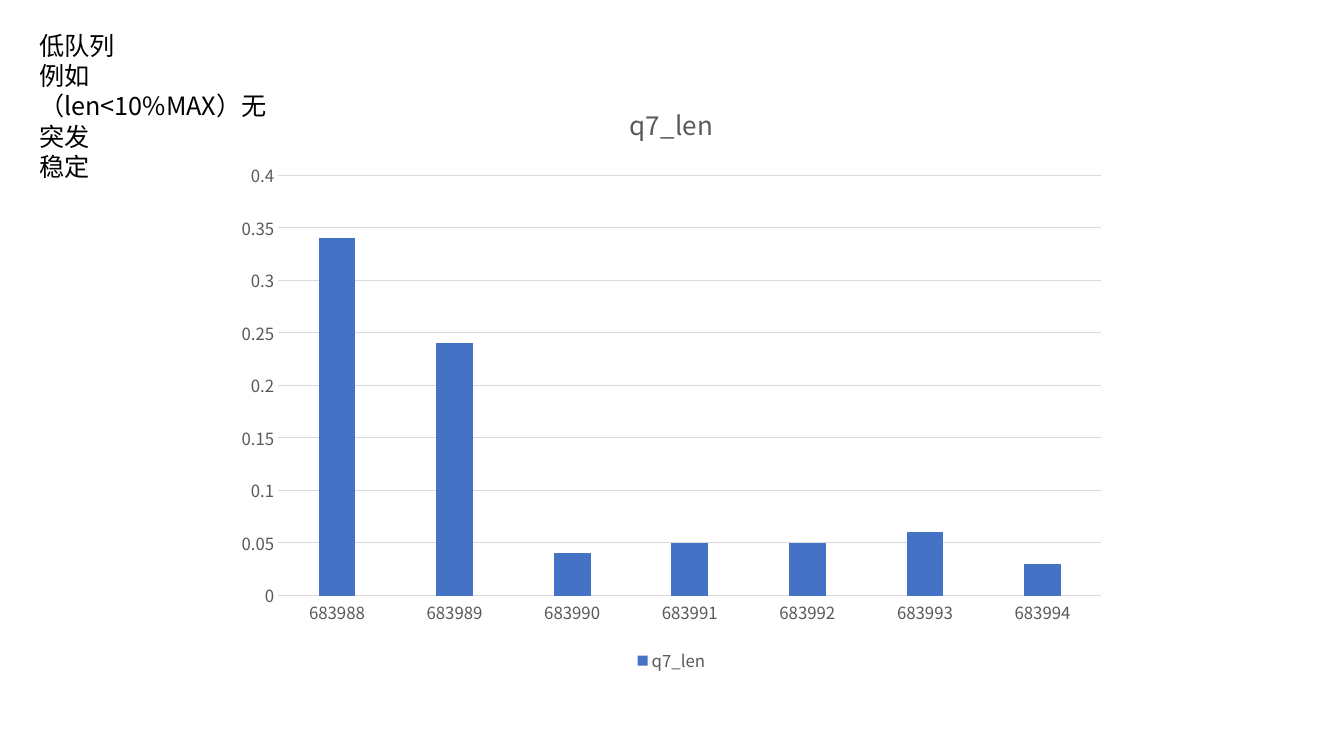
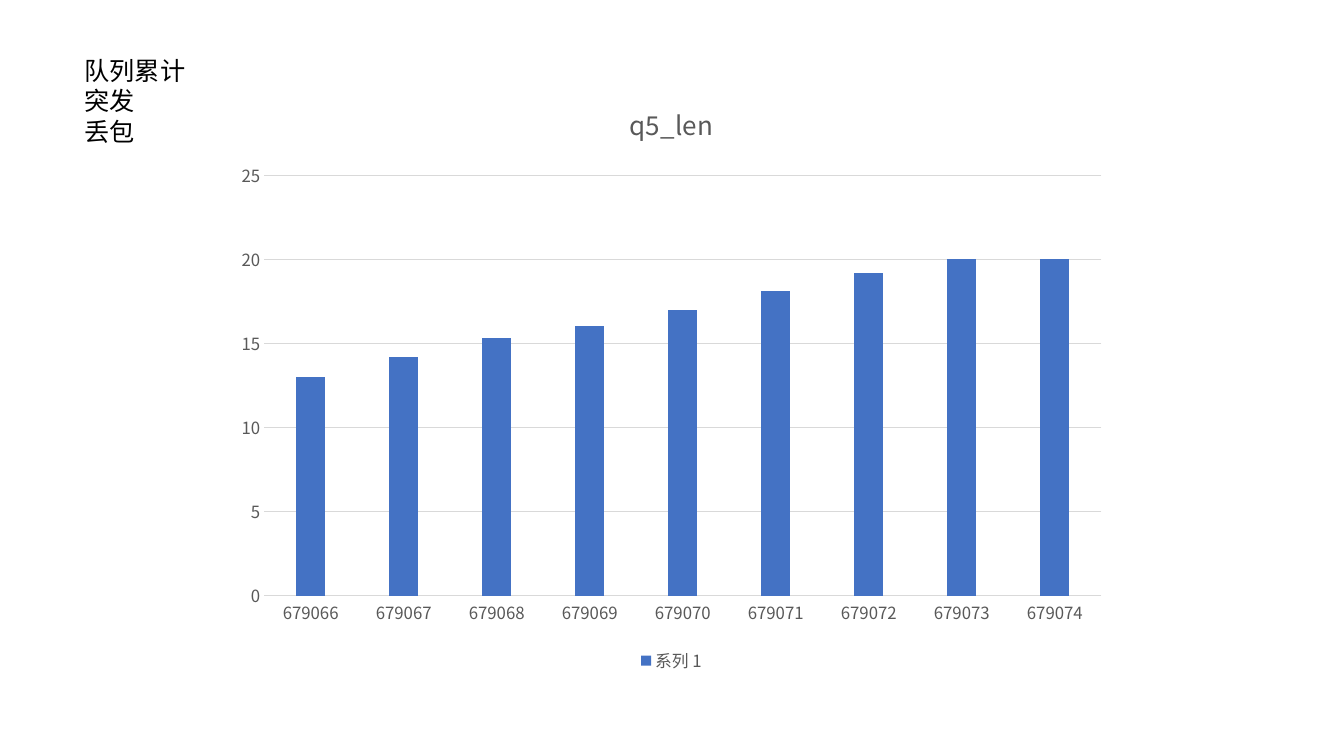
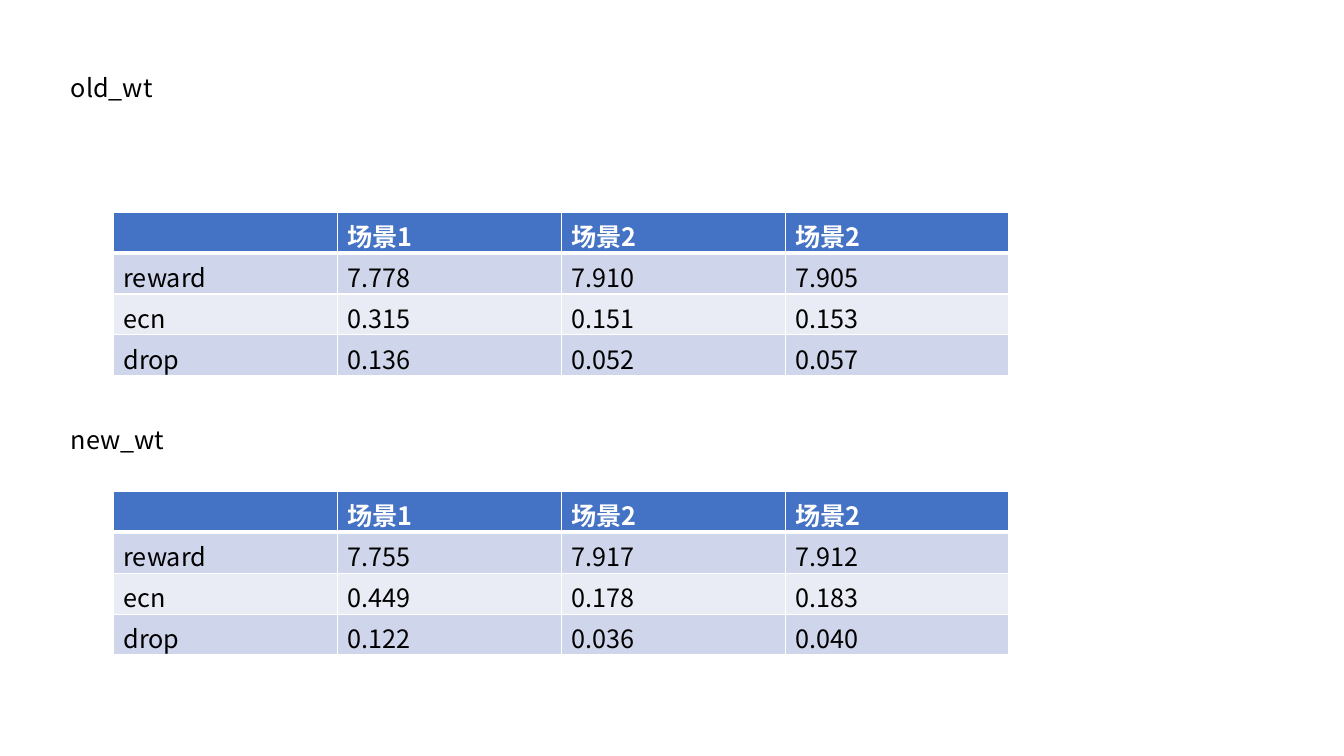
"""Builds three slides on queue lengths and weight results."""
from lxml import etree
from pptx import Presentation
from pptx.chart.data import CategoryChartData
from pptx.dml.color import RGBColor
from pptx.enum.chart import XL_CHART_TYPE, XL_LEGEND_POSITION, XL_TICK_MARK
from pptx.enum.text import MSO_AUTO_SIZE
from pptx.oxml.ns import qn
from pptx.util import Pt

PX = 9525
FONT = "Noto Sans CJK SC"
BLUE, WHITE, BLACK = "4472C4", "FFFFFF", "000000"
GRAY, GRID = "595959", "D9D9D9"
BANDS = ["E9EBF5", "CFD5EA"]
COLUMN = XL_CHART_TYPE.COLUMN_CLUSTERED
BOTTOM = XL_LEGEND_POSITION.BOTTOM
NO_TICK = XL_TICK_MARK.NONE
GROW = MSO_AUTO_SIZE.SHAPE_TO_FIT_TEXT


def color(hex_string):
    return RGBColor.from_string(hex_string)


def style(font, size, hex_string, bold=False):
    font.name = FONT
    font.size = Pt(size)
    font.bold = bold
    font.color.rgb = color(hex_string)
    etree.SubElement(font._rPr, qn("a:ea"), typeface=FONT)


presentation = Presentation()
presentation.slide_width = 1280 * PX
presentation.slide_height = 720 * PX
blank_layout = presentation.slide_layouts[6]
slides = [presentation.slides.add_slide(blank_layout) for _ in range(3)]

charts = [
    ("q7_len", "q7_len", 683988, [0.34, 0.24, 0.04, 0.05, 0.05, 0.06, 0.03]),
    ("q5_len", "系列 1", 679066, [13, 14.2, 15.3, 16, 17, 18.1, 19.2, 20, 20]),
]
for slide, (title, series_name, first_category, values) in zip(slides, charts):
    chart_data = CategoryChartData()
    chart_data.categories = [str(first_category + i) for i in range(len(values))]
    chart_data.add_series(series_name, values)
    chart = slide.shapes.add_chart(
        COLUMN, 213 * PX, 76 * PX, 853 * PX, 569 * PX, chart_data
    ).chart
    style(chart.font, 10, BLACK)

    chart.has_title = True
    title_paragraph = chart.chart_title.text_frame.paragraphs[0]
    title_paragraph.text = title
    style(title_paragraph.runs[0].font, 18.6, GRAY)
    chart.chart_title.include_in_layout = False

    chart.has_legend = True
    chart.legend.position = BOTTOM
    chart.legend.include_in_layout = False
    style(chart.legend.font, 12, GRAY)

    for axis in (chart.category_axis, chart.value_axis):
        axis.major_tick_mark = NO_TICK
        axis.minor_tick_mark = NO_TICK
        style(axis.tick_labels.font, 12, GRAY)
    chart.value_axis.format.line.fill.background()
    chart.value_axis.has_major_gridlines = True
    gridlines = chart.value_axis.major_gridlines
    for line in (chart.category_axis.format.line, gridlines.format.line):
        line.color.rgb = color(GRID)
        line.width = Pt(0.75)

    plot = chart.plots[0]
    plot.gap_width = 219
    plot.overlap = -27
    plot.vary_by_categories = False
    series = plot.series[0]
    series.invert_if_negative = False
    series.format.fill.solid()
    series.format.fill.fore_color.rgb = color(BLUE)

header = ["", "场景1", "场景2", "场景2"]
tables = [
    (202, [
        header,
        ["reward", "7.778", "7.910", "7.905"],
        ["ecn", "0.315", "0.151", "0.153"],
        ["drop", "0.136", "0.052", "0.057"],
    ]),
    (468, [
        header,
        ["reward", "7.755", "7.917", "7.912"],
        ["ecn", "0.449", "0.178", "0.183"],
        ["drop", "0.122", "0.036", "0.040"],
    ]),
]
for top, rows in tables:
    table = slides[2].shapes.add_table(
        len(rows), len(header), 108 * PX, top * PX, 853 * PX, 156 * PX
    ).table
    for row_index, row in enumerate(rows):
        is_header = row_index == 0
        border_widths = {
            "a:lnL": 1,
            "a:lnR": 1,
            "a:lnT": 3 if row_index == 1 else 1,
            "a:lnB": 3 if is_header else 1,
        }
        for column_index, value in enumerate(row):
            cell = table.cell(row_index, column_index)
            cell.text_frame.text = value
            for run in cell.text_frame.paragraphs[0].runs:
                style(run.font, 18, WHITE if is_header else BLACK, is_header)
            properties = cell._tc.get_or_add_tcPr()
            for tag, width in border_widths.items():
                border = etree.SubElement(properties, qn(tag), w=str(Pt(width)))
                border_fill = etree.SubElement(border, qn("a:solidFill"))
                etree.SubElement(border_fill, qn("a:srgbClr"), val=WHITE)
            cell.fill.solid()
            cell.fill.fore_color.rgb = color(BLUE if is_header else BANDS[row_index % 2])

labels = [
    (slides[0], 28, 24, 252, 126, "低队列\n例如（len<10%MAX）无突发\n稳定"),
    (slides[1], 71, 48, 124, 97, "队列累计\n突发\n丢包"),
    (slides[2], 58, 64, 245, 38, "old_wt"),
    (slides[2], 58, 399, 245, 38, "new_wt"),
]
for slide, left, top, width, height, text in labels:
    shape = slide.shapes.add_textbox(left * PX, top * PX, width * PX, height * PX)
    text_frame = shape.text_frame
    text_frame.word_wrap = True
    text_frame.auto_size = GROW
    text_frame.text = text
    for paragraph in text_frame.paragraphs:
        style(paragraph.runs[0].font, 18, BLACK)

presentation.save("out.pptx")
